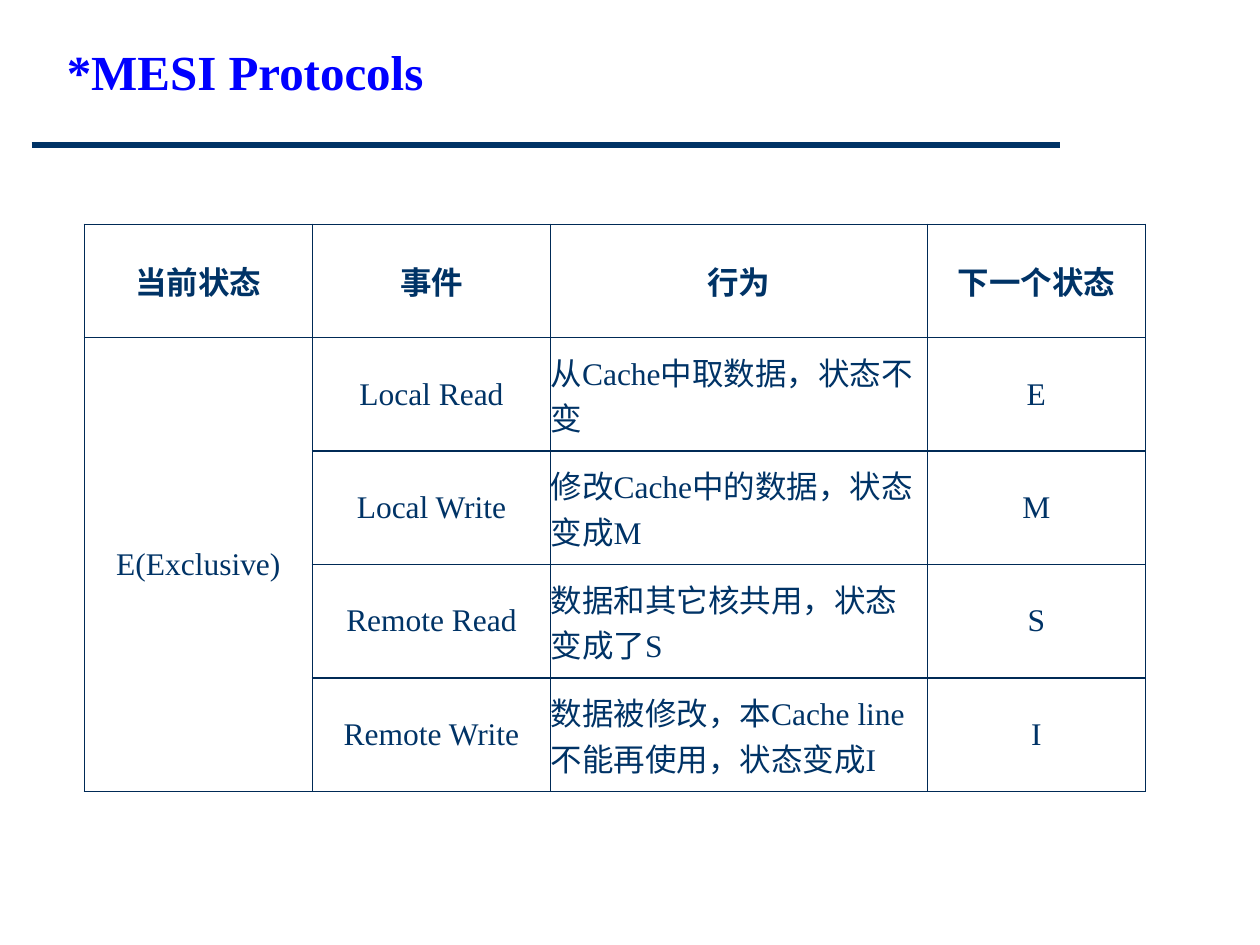
from lxml import etree
from pptx import Presentation
from pptx import util as u
from pptx.dml.color import RGBColor
from pptx.enum import dml, shapes, text
from pptx.oxml.ns import qn

FONT = "Times New Roman"
NAVY, BORDER, BLUE = "003366", "002A56", "0000FF"
COLUMN_WIDTHS = [1.81, 1.89, 2.99, 1.73]
ROW_HEIGHT = 0.9
ACTION_COLUMN = 2
ROWS = [
    ["当前状态", "事件", "行为", "下一个状态"],
    ["E(Exclusive)", "Local Read", "从Cache中取数据，状态不变", "E"],
    ["", "Local Write", "修改Cache中的数据，状态变成M", "M"],
    ["", "Remote Read", "数据和其它核共用，状态变成了S", "S"],
    ["", "Remote Write", "数据被修改，本Cache line不能再使用，状态变成I", "I"],
]


def color(value):
    return RGBColor.from_string(value)


def set_all(target, values):
    for name, value in values.items():
        setattr(target, name, value)


def write(frame, words, size, ink, bold, align):
    para = frame.paragraphs[0]
    para.alignment = align
    span = para.add_run()
    span.text = words
    set_all(span.font, {"name": FONT, "size": u.Pt(size), "bold": bold})
    span.font.color.rgb = color(ink)


def add_title(page, words):
    title = page.shapes.title
    set_all(title, {"left": u.Inches(0.43), "top": u.Inches(0.28),
                    "width": u.Inches(9.06), "height": u.Inches(0.57)})
    set_all(title.text_frame, {"word_wrap": True,
                               "auto_size": text.MSO_AUTO_SIZE.SHAPE_TO_FIT_TEXT,
                               "vertical_anchor": text.MSO_ANCHOR.MIDDLE})
    write(title.text_frame, words, 28, BLUE, True, text.PP_ALIGN.LEFT)


def add_rule(page):
    rule = page.shapes.add_connector(
        shapes.MSO_CONNECTOR.STRAIGHT,
        u.Inches(0.25), u.Inches(1.15), u.Inches(8.41), u.Inches(1.15))
    set_all(rule.line, {"width": u.Pt(3)})
    rule.line.color.rgb = color(NAVY)
    etree.SubElement(rule._element.spPr, qn("a:effectLst"))


def add_borders(cell):
    properties = cell._tc.get_or_add_tcPr()
    for position, side in enumerate(("lnL", "lnR", "lnT", "lnB")):
        edge = etree.Element(qn(f"a:{side}"), w=str(u.Pt(1)))
        fill = etree.SubElement(edge, qn("a:solidFill"))
        etree.SubElement(fill, qn("a:srgbClr"), val=BORDER)
        properties.insert(position, edge)


def format_cell(cell):
    set_all(cell, {"margin_left": 0, "margin_right": 0, "margin_top": 0,
                   "margin_bottom": 0,
                   "vertical_anchor": text.MSO_ANCHOR.MIDDLE})
    cell.fill.background()
    add_borders(cell)


def add_state_table(page):
    table = page.shapes.add_table(
        len(ROWS), len(COLUMN_WIDTHS), u.Inches(0.67), u.Inches(1.78),
        u.Inches(sum(COLUMN_WIDTHS)), u.Inches(ROW_HEIGHT * len(ROWS))).table
    set_all(table, {"first_row": False, "horz_banding": False})
    for column, width in zip(table.columns, COLUMN_WIDTHS):
        column.width = u.Inches(width)
    for r, row in enumerate(ROWS):
        table.rows[r].height = u.Inches(ROW_HEIGHT)
        for c, words in enumerate(row):
            cell = table.cell(r, c)
            format_cell(cell)
            header = r == 0
            left = c == ACTION_COLUMN and not header
            if words:
                write(cell.text_frame, words, 18, NAVY, header,
                      text.PP_ALIGN.LEFT if left else text.PP_ALIGN.CENTER)
    table.cell(1, 0).merge(table.cell(len(ROWS) - 1, 0))


def main():
    deck = Presentation()
    set_all(deck, {"slide_width": u.Inches(10), "slide_height": u.Inches(7.5)})
    page = deck.slides.add_slide(deck.slide_layouts.get_by_name("Title Only"))
    page.background.fill.solid()
    page.background.fill.fore_color.rgb = color("FFFFFF")
    add_rule(page)
    add_title(page, "*MESI Protocols")
    add_state_table(page)
    deck.save("out.pptx")


if __name__ == "__main__":
    main()
